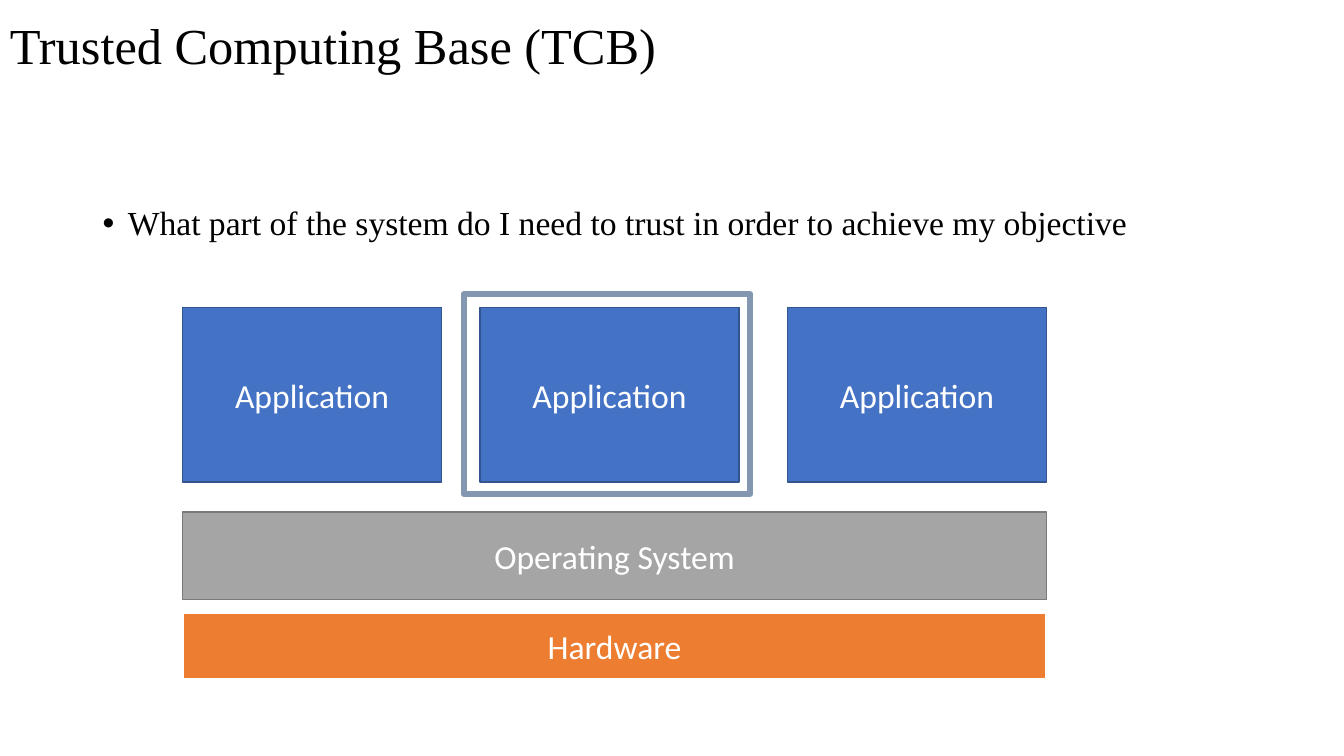
from lxml.etree import SubElement
from pptx import Presentation
from pptx.dml.color import RGBColor
from pptx.enum.shapes import MSO_SHAPE
from pptx.enum.text import MSO_ANCHOR, PP_ALIGN
from pptx.oxml.ns import qn
from pptx.util import Inches, Pt


def rgb(value):
    return RGBColor.from_string(value)


class TcbSlide:
    """Style and current slide; boxes are (left, top, width, height) in percent."""
    heading_font, label_font = "Times New Roman", "Calibri"
    ink, paper = "000000", "FFFFFF"
    body_size = 24

    def __init__(self, prs):
        self.width, self.height = prs.slide_width, prs.slide_height
        self.s = prs.slides.add_slide(prs.slide_layouts[6])

    def place(self, box):
        sides = (self.width, self.height) * 2
        return [round(side * share / 100) for side, share in zip(sides, box)]

    def set_text(self, tf, text, font, size, color, anchor):
        tf.word_wrap = True
        tf.vertical_anchor = anchor
        p = tf.paragraphs[0]
        p.text = text
        r = p.runs[0]
        r.font.name, r.font.size = font, Pt(size)
        r.font.color.rgb = rgb(color)
        return p

    def text(self, box, text, size, anchor):
        tf = self.s.shapes.add_textbox(*self.place(box)).text_frame
        p = self.set_text(tf, text, self.heading_font, size, self.ink, anchor)
        p.line_spacing = 0.9
        return p

    def bullet(self, box, text):
        p = self.text(box, text, self.body_size, MSO_ANCHOR.TOP)
        pPr = p._p.get_or_add_pPr()
        pPr.set("marL", str(Inches(0.25)))
        pPr.set("indent", str(-Inches(0.25)))
        SubElement(pPr, qn("a:buFont"), typeface="Arial")
        SubElement(pPr, qn("a:buChar"), char="•")

    def block(self, box, line, line_width, fill=None, label=None):
        sp = self.s.shapes.add_shape(MSO_SHAPE.RECTANGLE, *self.place(box))
        sp.shadow.inherit = False
        sp.line.color.rgb = rgb(line)
        sp.line.width = Pt(line_width)
        if fill:
            sp.fill.solid()
            sp.fill.fore_color.rgb = rgb(fill)
        else:
            sp.fill.background()
        if label:
            p = self.set_text(sp.text_frame, label, self.label_font,
                              self.body_size, self.paper, MSO_ANCHOR.MIDDLE)
            p.alignment = PP_ALIGN.CENTER


def main():
    prs = Presentation()
    prs.slide_width, prs.slide_height = Inches(13.33), Inches(7.5)
    slide = TcbSlide(prs)

    # Title and question
    slide.text((0, -0.27, 86.27, 13.2), "Trusted Computing Base (TCB)",
               36, MSO_ANCHOR.MIDDLE)
    slide.bullet((6.9, 26.67, 86.27, 63.47),
                 "What part of the system do I need to trust in order to "
                 "achieve my objective")

    # Applications, the middle one framed
    stack_left, stack_width = 13.58, 64.29
    for left in (stack_left, 35.71, 58.59):
        slide.block((left, 40.67, 19.28, 23.07), "325491", 1,
                    "4472C4", "Application")
    slide.block((34.51, 38.93, 21.31, 26.4), "8497B0", 4.5)

    # Layers below the applications
    for top, height, line, line_width, fill, label in (
            (67.73, 11.6, "7A7A7A", 1, "A5A5A5", "Operating System"),
            (81.07, 8.8, "FFFFFF", 1.5, "ED7D31", "Hardware")):
        slide.block((stack_left, top, stack_width, height),
                    line, line_width, fill, label)

    prs.save("out.pptx")


if __name__ == "__main__":
    main()
